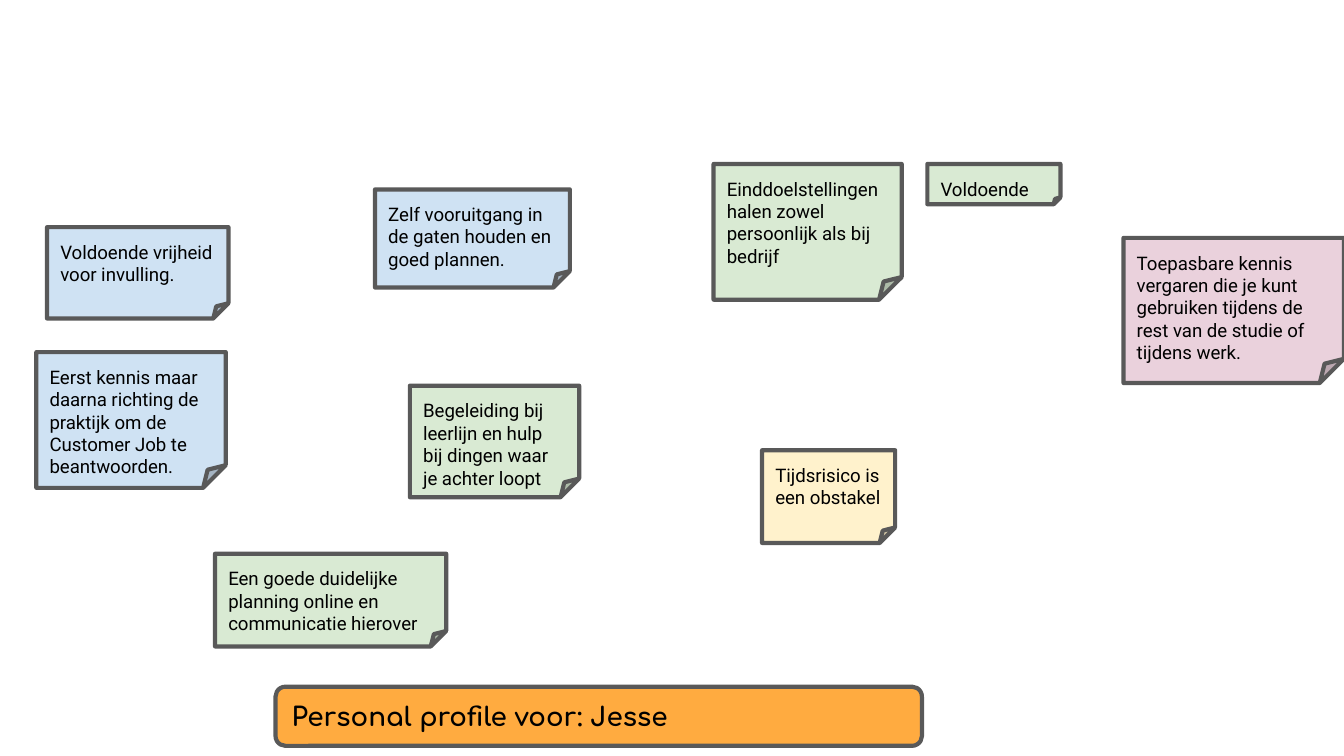
from pptx import Presentation
from pptx.dml.color import RGBColor
from pptx.enum.shapes import MSO_SHAPE
from pptx.enum.text import MSO_ANCHOR, PP_ALIGN
from pptx.util import Inches, Pt

SLIDE_W = 10
SLIDE_H = SLIDE_W * 9 / 16

BLUE = RGBColor(0xCF, 0xE2, 0xF3)
GREEN = RGBColor(0xD9, 0xEA, 0xD3)
PINK = RGBColor(0xEA, 0xD1, 0xDC)
YELLOW = RGBColor(0xFF, 0xF2, 0xCC)
ORANGE = RGBColor(0xFF, 0xAB, 0x40)
GREY = RGBColor(0x59, 0x59, 0x59)
BLACK = RGBColor(0, 0, 0)

# Sticky notes: (left, top, width, height), colour, text
NOTES = [
    ((2.79, 1.41, 1.45, 0.73), BLUE,
     "Zelf vooruitgang in de gaten houden en goed plannen."),
    ((0.27, 2.62, 1.41, 1.01), BLUE,
     "Eerst kennis maar daarna richting de praktijk om de Customer Job te beantwoorden."),
    ((8.36, 1.77, 1.64, 1.08), PINK,
     "Toepasbare kennis vergaren die je kunt gebruiken tijdens de rest van de studie "
     "of tijdens werk."),
    ((3.05, 2.87, 1.26, 0.83), GREEN,
     "Begeleiding bij leerlijn en hulp bij dingen waar je achter loopt"),
    ((6.9, 1.22, 0.99, 0.3), GREEN, "Voldoende"),
    ((5.31, 1.22, 1.4, 1.01), GREEN,
     "Einddoelstellingen halen zowel persoonlijk als bij bedrijf"),
    ((5.67, 3.35, 0.99, 0.69), YELLOW, "Tijdsrisico is een obstakel"),
    ((1.6, 4.12, 1.72, 0.69), GREEN,
     "Een goede duidelijke planning online en communicatie hierover"),
    ((0.35, 1.69, 1.35, 0.68), BLUE, "Voldoende vrijheid voor invulling."),
]


def add_card(slide, kind, box, fill, text, anchor):
    """Add an outlined card and return its paragraph for font settings."""
    sp = slide.shapes.add_shape(kind, *(Inches(v) for v in box))
    sp.shadow.inherit = False
    sp.fill.solid()
    sp.fill.fore_color.rgb = fill
    sp.line.color.rgb = GREY
    sp.line.width = Pt(2.25)
    tf = sp.text_frame
    tf.word_wrap = True
    tf.vertical_anchor = anchor
    tf.margin_left = tf.margin_right = Inches(0.1)
    tf.margin_top = tf.margin_bottom = Inches(0.1)
    p = tf.paragraphs[0]
    p.text = text
    p.alignment = PP_ALIGN.LEFT
    p.font.color.rgb = BLACK
    return p


def add_note(slide, box, fill, text):
    p = add_card(slide, MSO_SHAPE.FOLDED_CORNER, box, fill, text, MSO_ANCHOR.TOP)
    p.font.name = "Roboto"
    p.font.size = Pt(10)


def add_banner(slide, box, text):
    p = add_card(slide, MSO_SHAPE.ROUNDED_RECTANGLE, box, ORANGE, text, MSO_ANCHOR.MIDDLE)
    p.font.name = "Comfortaa"
    p.font.size = Pt(14)
    p.font.bold = True


def main():
    prs = Presentation()
    prs.slide_width, prs.slide_height = Inches(SLIDE_W), Inches(SLIDE_H)
    slide = prs.slides.add_slide(prs.slide_layouts[6])

    # Sticky notes on the board
    for box, fill, text in NOTES:
        add_note(slide, box, fill, text)

    # Profile name at the bottom
    add_banner(slide, (2.05, 5.11, 4.81, 0.44), "Personal profile voor: Jesse")

    prs.save("out.pptx")


if __name__ == "__main__":
    main()
